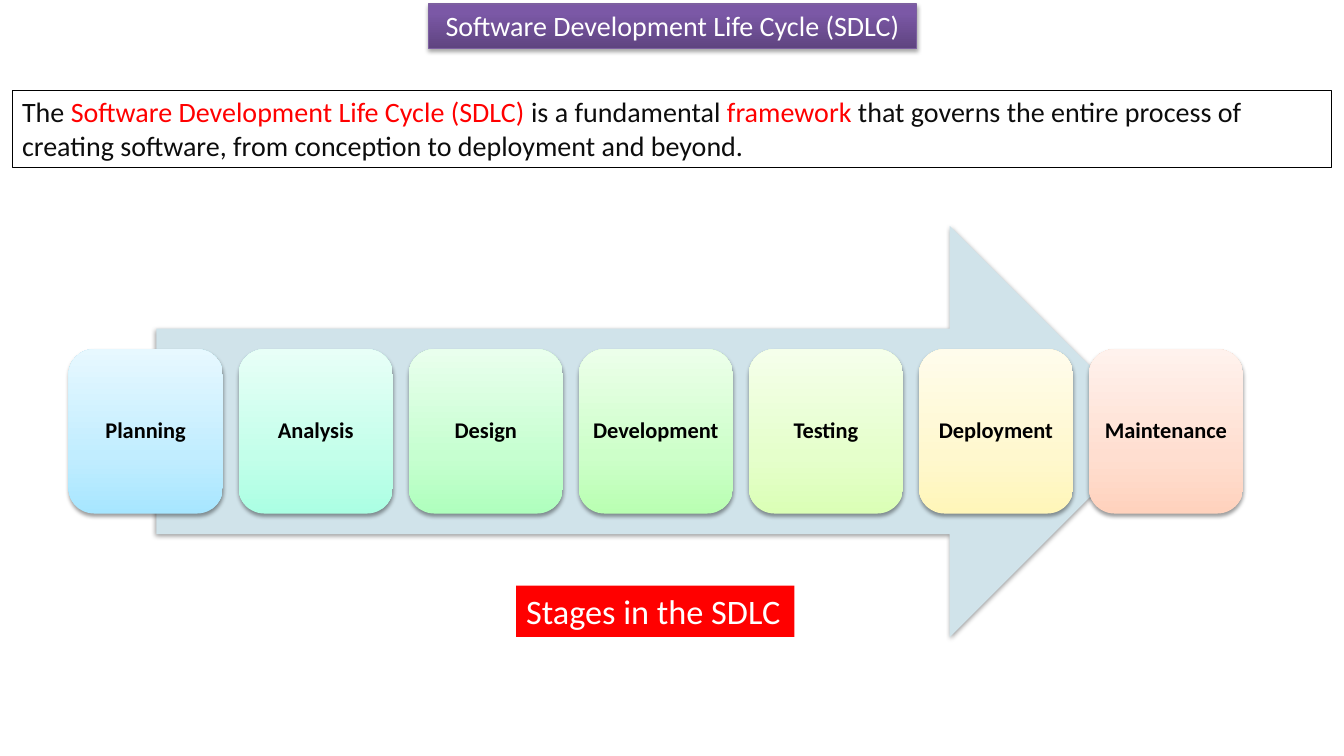
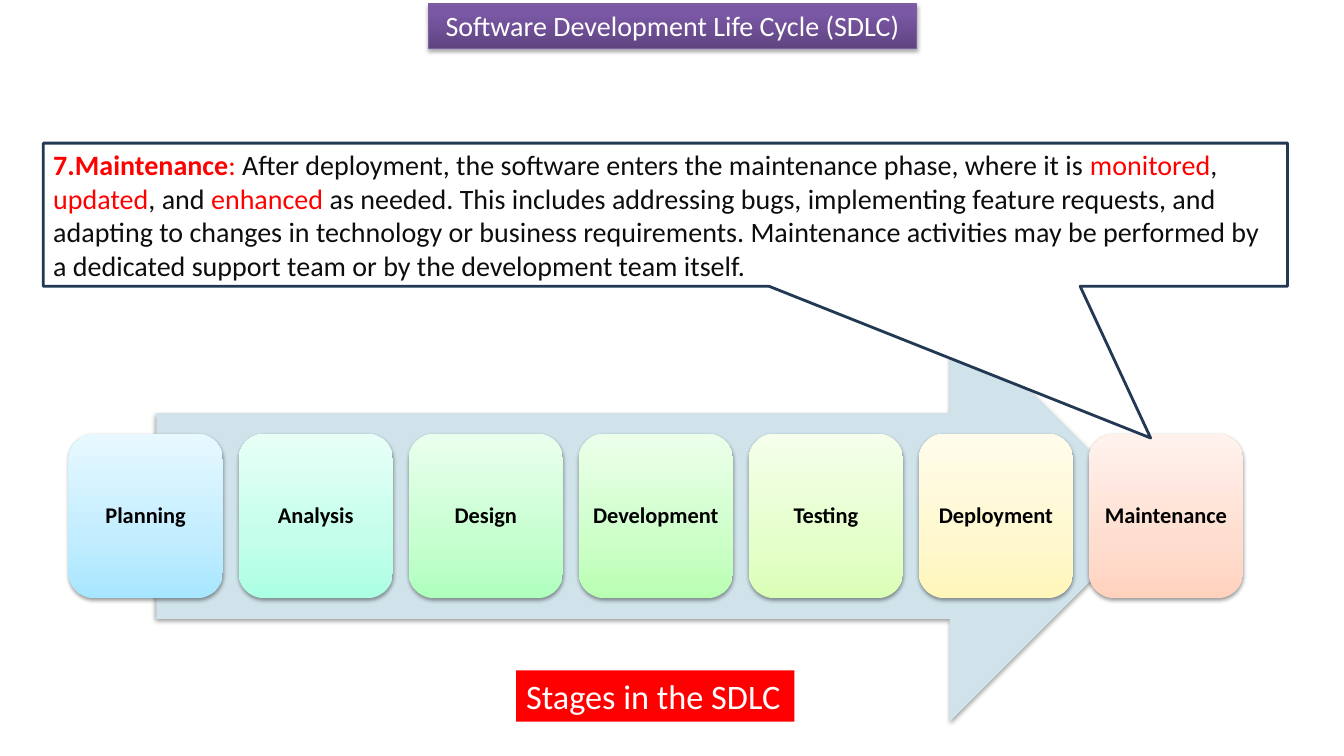
"""Build two slides on the Software Development Life Cycle and its stages."""
from dataclasses import dataclass

from lxml.etree import SubElement
from pptx import Presentation
from pptx.dml.color import RGBColor
from pptx.enum.shapes import MSO_SHAPE
from pptx.enum.text import MSO_ANCHOR, PP_ALIGN
from pptx.oxml.ns import qn
from pptx.util import Inches, Pt


@dataclass(frozen=True)
class Theme:
    font: str = "Calibri"
    body_size: float = 20
    stage_size: float = 16
    caption_size: float = 24.5
    white: str = "FFFFFF"
    black: str = "000000"
    ink: str = "0D0D0D"
    red: str = "FF0000"
    arrow: str = "D0E3EA"
    title_line: str = "7D60A0"
    callout_line: str = "233953"
    title_fill: tuple = ((0, "5F4480"), (80, "7B58A6"), (100, "7C57A8"))


T = Theme()

STAGES = [
    ("Planning", "A7E6FF", "C1EDFF", "E7F8FF"),
    ("Analysis", "ABFFE3", "C3FFEA", "E8FFF7"),
    ("Design", "AFFFBD", "C6FFD0", "E9FFED"),
    ("Development", "B9FFB2", "CDFFC9", "ECFFEA"),
    ("Testing", "DBFFB6", "E5FFCB", "F5FFEB"),
    ("Deployment", "FFF6B9", "FFF8CE", "FFFCEC"),
    ("Maintenance", "FFD2BD", "FFDED0", "FFF2ED"),
]

DEFINITION = [
    ("The ", T.ink, False),
    ("Software Development Life Cycle (SDLC) ", T.red, False),
    ("is a fundamental ", T.ink, False),
    ("framework", T.red, False),
    (" that governs the entire process of creating software, from conception "
     "to deployment and beyond.", T.ink, False),
]

MAINTENANCE = [
    ("7.Maintenance", T.red, True),
    (": ", T.red, False),
    ("After deployment, the software enters the maintenance phase, where it is ", T.ink, False),
    ("monitored", T.red, False),
    (", ", T.ink, False),
    ("updated", T.red, False),
    (", and ", T.ink, False),
    ("enhanced", T.red, False),
    (" as needed. This includes addressing bugs, implementing feature requests, "
     "and adapting to changes in technology or business requirements. "
     "Maintenance activities may be performed by a dedicated support team or by "
     "the development team itself.", T.ink, False),
]


def add_box(shapes, preset, at, fill, line=None, shadow=None):
    """Add a preset shape; fill is a colour or gradient stops, shadow is (opacity, distance)."""
    sp = shapes.add_shape(preset, *[Inches(v) for v in at])
    if isinstance(fill, str):
        sp.fill.solid()
        sp.fill.fore_color.rgb = RGBColor.from_string(fill)
    else:
        sp.fill.gradient()
        sp.fill.gradient_angle = 90
        stops = sp._element.spPr.find(".//" + qn("a:gsLst"))
        for stop in list(stops):
            stops.remove(stop)
        for pos, color in fill:
            stop = SubElement(stops, qn("a:gs"), pos=str(pos * 1000))
            SubElement(stop, qn("a:srgbClr"), val=color)
    if line:
        color, width = line
        sp.line.color.rgb = RGBColor.from_string(color)
        sp.line.width = Pt(width)
    else:
        sp.line.fill.background()
    sp.shadow.inherit = False
    if shadow:
        opacity, dist = shadow
        effects = sp._element.spPr.find(qn("a:effectLst"))
        outer = SubElement(effects, qn("a:outerShdw"), blurRad=str(Pt(3.1)),
                           dist=str(Pt(dist)), dir="5400000", rotWithShape="0")
        color = SubElement(outer, qn("a:srgbClr"), val=T.black)
        SubElement(color, qn("a:alpha"), val=str(opacity * 1000))
    return sp


def write(sp, runs, size, align=PP_ALIGN.LEFT, anchor=MSO_ANCHOR.TOP):
    """Fill a shape with one paragraph of (text, colour, bold) runs."""
    tf = sp.text_frame
    tf.word_wrap = True
    tf.vertical_anchor = anchor
    p = tf.paragraphs[0]
    p.alignment = align
    for text, color, bold in runs:
        r = p.add_run()
        r.text = text
        r.font.name = T.font
        r.font.size = Pt(size)
        r.font.bold = bold
        r.font.color.rgb = RGBColor.from_string(color)
    return tf


prs = Presentation()
prs.slide_width = Inches(13.33)
prs.slide_height = Inches(7.5)

arrow_h, stage_w, stage_h = 4.08, 1.53, 1.63
first_left, last_left = 0.68, 10.8
pitch = (last_left - first_left) / (len(STAGES) - 1)

for arrow_top in (2.24, 3.08):
    s = prs.slides.add_slide(prs.slide_layouts[6])

    title = add_box(s.shapes, MSO_SHAPE.RECTANGLE, (4.25, 0.04, 4.84, 0.44),
                    T.title_fill, (T.title_line, 0.75), (35, 1.8))
    write(title, [("Software Development Life Cycle (SDLC)", T.white, False)],
          T.body_size, PP_ALIGN.CENTER)

    diagram = s.shapes.add_group_shape()
    add_box(diagram.shapes, MSO_SHAPE.RIGHT_ARROW, (1.55, arrow_top, 9.91, arrow_h),
            T.arrow, shadow=(38, 1.6))
    stage_top = arrow_top + (arrow_h - stage_h) / 2
    for i, (name, *colors) in enumerate(STAGES):
        stage = add_box(diagram.shapes, MSO_SHAPE.ROUNDED_RECTANGLE,
                        (first_left + i * pitch, stage_top, stage_w, stage_h),
                        list(zip((0, 35, 100), colors)), shadow=(38, 1.6))
        tf = write(stage, [(name, T.black, True)], T.stage_size,
                   PP_ALIGN.CENTER, MSO_ANCHOR.MIDDLE)
        tf.margin_left = tf.margin_right = 0
        tf.paragraphs[0].line_spacing = 0.9

    caption = add_box(s.shapes, MSO_SHAPE.RECTANGLE,
                      (5.12, arrow_top + 3.57, 2.76, 0.51), T.red)
    tf = write(caption, [("Stages in the SDLC", T.white, False)], T.caption_size)
    tf.word_wrap = False

intro, upkeep = prs.slides

definition = add_box(intro.shapes, MSO_SHAPE.RECTANGLE, (0.12, 0.89, 13.08, 0.77),
                     T.white, (T.black, 0.25))
write(definition, DEFINITION, T.body_size)

callout = add_box(upkeep.shapes, MSO_SHAPE.RECTANGULAR_CALLOUT, (0.43, 1.42, 12.34, 1.42),
                  T.white, (T.callout_line, 2))
callout.adjustments[0] = 0.39
callout.adjustments[1] = 1.56
write(callout, MAINTENANCE, T.body_size, anchor=MSO_ANCHOR.MIDDLE)

prs.save("out.pptx")
